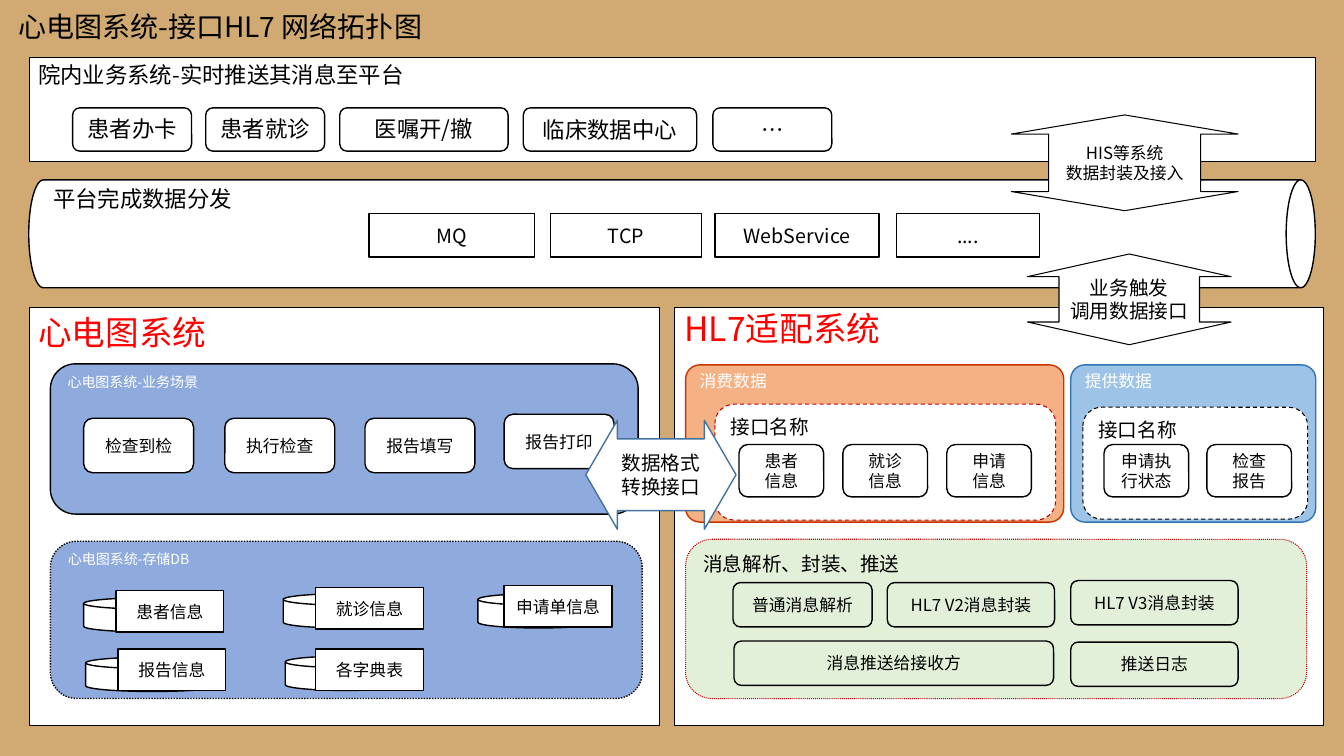
from dataclasses import dataclass

from lxml import etree
from pptx import Presentation
from pptx.dml.color import RGBColor
from pptx.enum.dml import MSO_LINE
from pptx.enum.shapes import MSO_SHAPE
from pptx.enum.text import MSO_ANCHOR, MSO_AUTO_SIZE, PP_ALIGN
from pptx.oxml.ns import qn
from pptx.util import Inches, Pt

RECT, ROUND = MSO_SHAPE.RECTANGLE, MSO_SHAPE.ROUNDED_RECTANGLE
CAN, DISK = MSO_SHAPE.CAN, MSO_SHAPE.FLOWCHART_MAGNETIC_DISK
UP_DOWN, LEFT_RIGHT = MSO_SHAPE.UP_DOWN_ARROW, MSO_SHAPE.LEFT_RIGHT_ARROW
DOTTED, DASHED = MSO_LINE.ROUND_DOT, MSO_LINE.DASH
LEFT, CENTER = PP_ALIGN.LEFT, PP_ALIGN.CENTER
TOP, MIDDLE = MSO_ANCHOR.TOP, MSO_ANCHOR.MIDDLE


@dataclass(frozen=True)
class Theme:
    font: str = "Noto Sans CJK SC"
    background: str = "D1AA73"
    black: str = "000000"
    white: str = "FFFFFF"
    heading_red: str = "FF0000"
    dash_red: str = "C00000"
    ecg_blue: str = "8FAADC"
    consume: str = "F4B183"
    consume_line: str = "CC3300"
    provide: str = "9DC3E6"
    provide_line: str = "2E75B6"
    message_green: str = "E2F0D9"
    arrow_blue: str = "43739E"
    system: int = 24
    title: int = 20
    layer: int = 16
    label: int = 14
    item: int = 12
    caption: int = 10


THEME = Theme()


def write_text(shape, text, size, color, align, anchor, insets=(0.1, 0.05, 0.1, 0.05)):
    """Fill the shape's text frame, one paragraph per line of text."""
    frame = shape.text_frame
    frame.word_wrap = True
    frame.auto_size = MSO_AUTO_SIZE.NONE
    frame.vertical_anchor = anchor
    (frame.margin_left, frame.margin_top,
     frame.margin_right, frame.margin_bottom) = map(Inches, insets)
    for index, line in enumerate(text.split("\n")):
        para = frame.add_paragraph() if index else frame.paragraphs[0]
        para.alignment = align
        span = para.add_run()
        span.text = line
        span.font.size = Pt(size)
        span.font.name = THEME.font
        span.font.color.rgb = RGBColor.from_string(color)
        properties = span.font._element
        east_asian = properties.makeelement(qn("a:ea"), {"typeface": THEME.font})
        properties.find(qn("a:latin")).addnext(east_asian)


def add_box(kind, place, text="", size=THEME.item, color=THEME.black, fill=THEME.white,
            line=THEME.black, width=1, dash=None, adjust=None, align=CENTER,
            anchor=MIDDLE, **text_options):
    """Draw a preset shape; place is left, top, width and height in inches.

    adjust maps the preset's guide names to fractions.
    """
    shape = page.shapes.add_shape(kind, *map(Inches, place))
    shape.shadow.inherit = False
    if fill:
        shape.fill.solid()
        shape.fill.fore_color.rgb = RGBColor.from_string(fill)
    else:
        shape.fill.background()
    shape.line.color.rgb = RGBColor.from_string(line)
    shape.line.width = Pt(width)
    if dash:
        shape.line.dash_style = dash
    if adjust:
        guides = shape._element.spPr.find(qn("a:prstGeom")).find(qn("a:avLst"))
        for guide in list(guides):
            guides.remove(guide)
        for name, value in adjust.items():
            etree.SubElement(guides, qn("a:gd"), name=name,
                             fmla=f"val {round(value * 100000)}")
    if text:
        write_text(shape, text, size, color, align, anchor, **text_options)
    return shape


deck = Presentation()
deck.slide_width, deck.slide_height = Inches(13.33), Inches(7.5)
page = deck.slides.add_slide(deck.slide_layouts[5])
page.background.fill.solid()
page.background.fill.fore_color.rgb = RGBColor.from_string(THEME.background)

title = page.shapes.title
title.left, title.top, title.width, title.height = map(Inches, (0.08, 0.04, 4.95, 0.44))
write_text(title, "心电图系统-接口HL7 网络拓扑图", THEME.title, THEME.black, LEFT, TOP)

corner = {"align": LEFT, "anchor": TOP}
snug = {**corner, "insets": (0.09, 0.04, 0.09, 0.04)}
caption = {**corner, "insets": (0.1, 0.02, 0.1, 0.05), "color": THEME.white}

# System panels
add_box(RECT, (6.69, 3.05, 6.44, 4.15), "HL7适配系统", THEME.system, THEME.heading_red,
        insets=(0.1, 0, 0.1, 0.05), **corner)
add_box(RECT, (0.29, 3.05, 6.25, 4.15), "心电图系统", THEME.system, THEME.heading_red, **snug)

# Distribution platform: an upright can turned on its side
platform = add_box(CAN, (6.13, -4.06, 1.07, 12.76), "平台完成数据分发", THEME.layer,
                   adjust={"adj": 0.27}, **corner)
platform.rotation = 90
platform.text_frame._txBody.bodyPr.set("vert", "vert270")
for left, width, protocol in [(3.66, 1.64, "MQ"), (5.46, 1.5, "TCP"),
                              (7.09, 1.63, "WebService"), (8.89, 1.42, "....")]:
    add_box(RECT, (left, 2.12, width, 0.43), protocol, THEME.label)

# Hospital business systems
add_box(RECT, (0.29, 0.57, 12.76, 1.03), "院内业务系统-实时推送其消息至平台", THEME.layer, **snug)
for left, width, source, anchor in [(0.72, 1.18, "患者办卡", TOP), (2.04, 1.18, "患者就诊", TOP),
                                    (3.37, 1.67, "医嘱开/撤", TOP),
                                    (5.19, 1.72, "临床数据中心", MIDDLE),
                                    (7.07, 1.18, "…", MIDDLE)]:
    add_box(ROUND, (left, 1.07, width, 0.43), source, THEME.layer, fill=None, anchor=anchor)

# ECG storage
add_box(ROUND, (0.5, 5.37, 5.87, 1.56), "心电图系统-存储DB", THEME.caption,
        fill=THEME.ecg_blue, dash=DOTTED, **caption)
for disk_left, disk_top, disk_width, left, top, table in [
        (0.83, 5.93, 1.36, 1.15, 5.86, "患者信息"),
        (2.81, 5.89, 1.24, 3.13, 5.83, "就诊信息"),
        (4.74, 5.89, 1.21, 5.0, 5.81, "申请单信息"),
        (0.85, 6.52, 1.33, 1.17, 6.44, "报告信息"),
        (2.83, 6.51, 1.2, 3.13, 6.44, "各字典表")]:
    add_box(DISK, (disk_left, disk_top, disk_width, 0.34))
    add_box(RECT, (left, top, 1.07, 0.41), table)

# ECG business scenes
add_box(ROUND, (0.5, 3.61, 5.83, 1.49), "心电图系统-业务场景", THEME.caption,
        fill=THEME.ecg_blue, **caption)
for left, top, scene in [(0.83, 4.15, "检查到检"), (2.23, 4.15, "执行检查"),
                         (3.62, 4.15, "报告填写"), (5.0, 4.11, "报告打印")]:
    add_box(ROUND, (left, top, 1.09, 0.54), scene)

# HL7 data consumers and providers
for left, width, name, fill, line, inner, inner_line, entries in [
        (6.8, 3.75, "消费数据", THEME.consume, THEME.consume_line,
         (7.09, 4.01, 3.38, 1.15), THEME.dash_red,
         [(7.33, "患者\n信息"), (8.36, "就诊\n信息"), (9.39, "申请\n信息")]),
        (10.62, 2.43, "提供数据", THEME.provide, THEME.provide_line,
         (10.74, 4.04, 2.23, 1.11), THEME.black,
         [(10.95, "申请执行状态"), (11.97, "检查\n报告")])]:
    add_box(ROUND, (left, 3.62, width, 1.56), name, fill=fill, line=line,
            adjust={"adj": 0.09}, **caption)
    add_box(ROUND, inner, "接口名称", THEME.label, line=inner_line, width=0.75,
            dash=DASHED, **corner)
    for entry_left, entry in entries:
        add_box(ROUND, (entry_left, 4.41, 0.84, 0.52), entry, fill=None)

# HL7 message handling
add_box(ROUND, (6.8, 5.35, 6.16, 1.58), "消息解析、封装、推送", THEME.label,
        fill=THEME.message_green, line=THEME.dash_red, width=0.75, dash=DOTTED, **corner)
for left, top, width, step in [(7.27, 5.78, 1.38, "普通消息解析"),
                               (8.8, 5.78, 1.66, "HL7 V2消息封装"),
                               (10.62, 5.76, 1.66, "HL7 V3消息封装"),
                               (7.28, 6.36, 3.17, "消息推送给接收方"),
                               (10.62, 6.37, 1.66, "推送日志")]:
    add_box(ROUND, (left, top, width, 0.44), step, fill=None)

# Arrows between the layers
add_box(UP_DOWN, (10.03, 1.14, 2.25, 0.95), "HIS等系统\n数据封装及接入",
        width=0.75, adjust={"adj1": 0.67, "adj2": 0.2})
add_box(UP_DOWN, (10.19, 2.52, 2.02, 0.9), "业务触发\n调用数据接口", THEME.label,
        width=0.75, adjust={"adj1": 0.69, "adj2": 0.25}, insets=(0.05, 0.05, 0.05, 0.05))
add_box(LEFT_RIGHT, (5.81, 4.17, 1.49, 1.08), "数据格式\n转换接口", THEME.label,
        line=THEME.arrow_blue, adjust={"adj1": 0.66, "adj2": 0.29})

deck.save("out.pptx")
